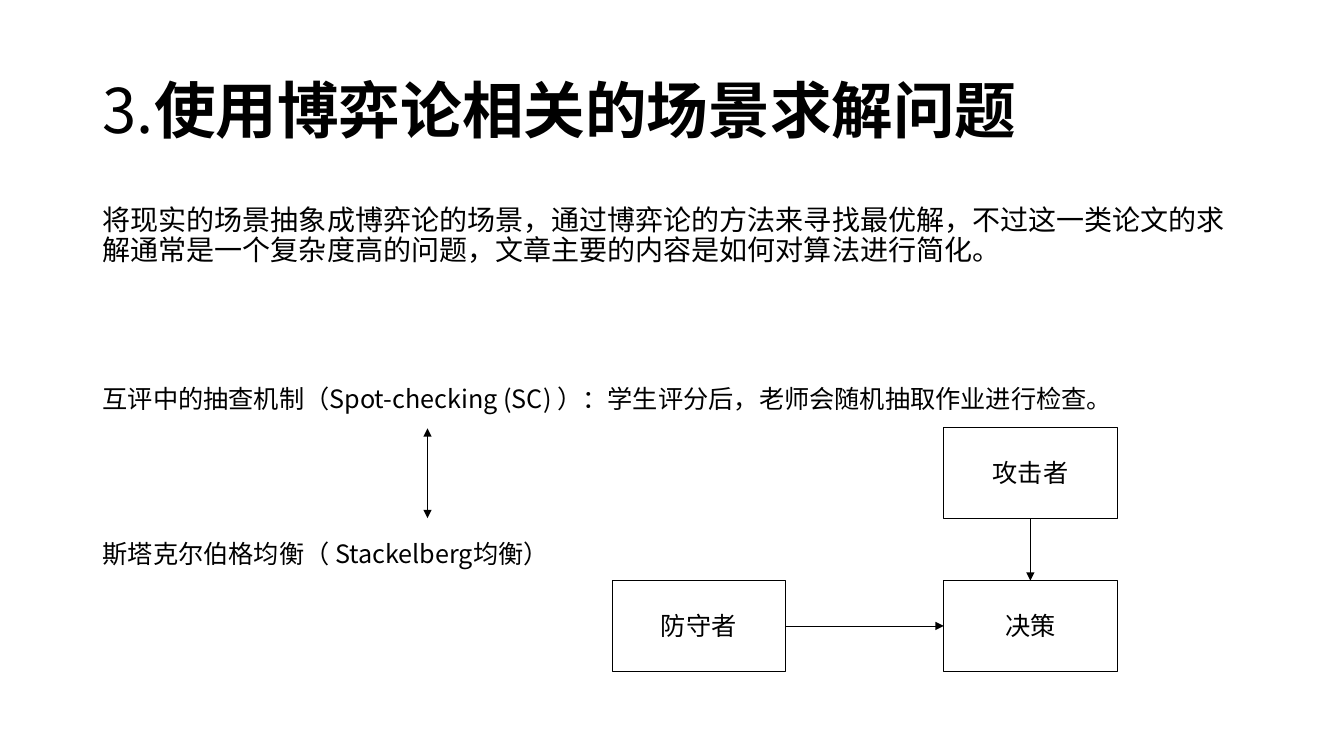
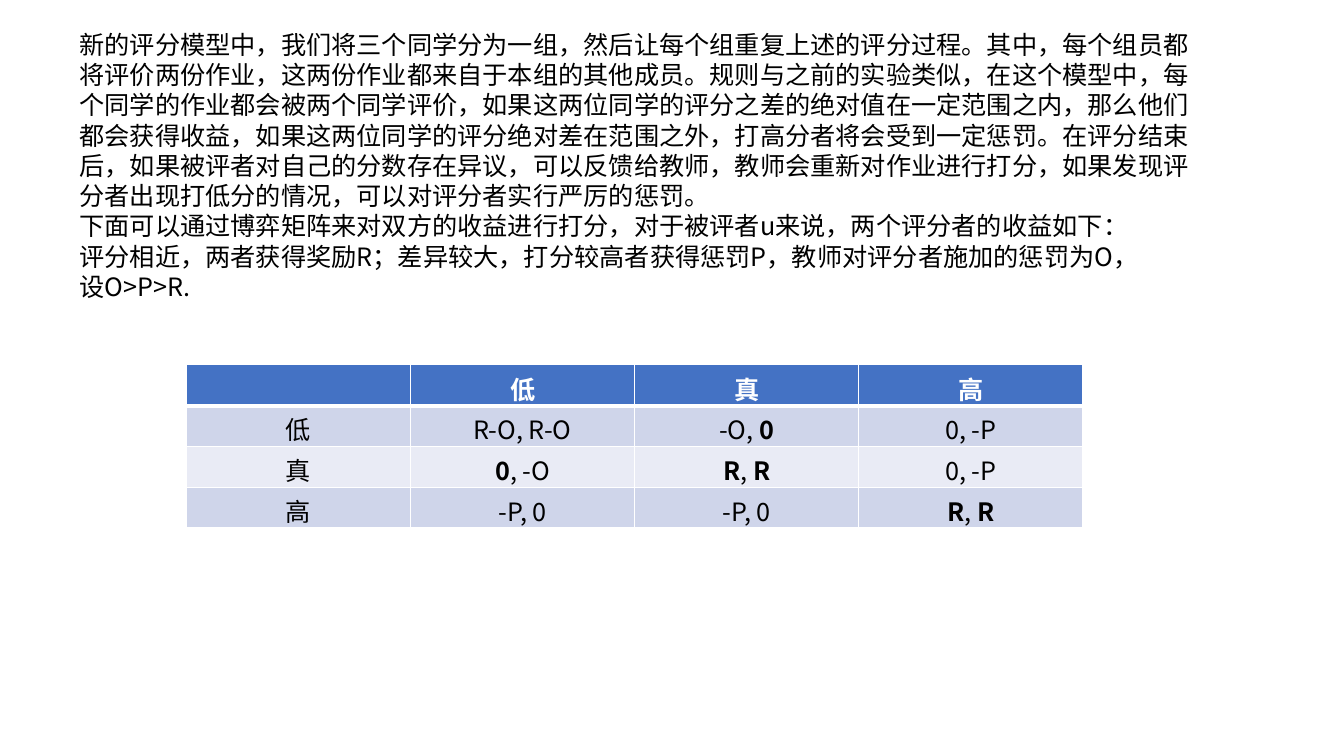
"""Build two slides on applying game theory to peer grading."""
import dataclasses
import typing

import lxml.etree
import pptx
import pptx.dml.color
import pptx.enum.shapes
import pptx.enum.text
import pptx.oxml.ns
import pptx.util

Inches = pptx.util.Inches
Pt = pptx.util.Pt
RGB = pptx.dml.color.RGBColor
qn = pptx.oxml.ns.qn
Align = pptx.enum.text.PP_ALIGN
Anchor = pptx.enum.text.MSO_ANCHOR


@dataclasses.dataclass(frozen=True)
class Theme:
    font: str = "Noto Sans CJK SC"
    ink: str = "000000"
    paper: str = "FFFFFF"
    header: str = "4472C4"
    bands: tuple[str, str] = ("CFD5EA", "E9EBF5")
    title_size: int = 44
    lead_size: int = 20
    text_size: int = 18
    box_line: float = 0.75
    arrow_line: float = 0.5
    cell_line: float = 1
    header_line: float = 3


@dataclasses.dataclass(frozen=True)
class TextBlock:
    left: float
    top: float
    width: float
    height: float
    paragraphs: tuple[str, ...]
    size: int
    line_spacing: float | None = None
    space_before: float | None = None
    anchor: Anchor = Anchor.TOP
    grows: bool = True


@dataclasses.dataclass(frozen=True)
class Role:
    name: str
    left: float
    top: float


THEME = Theme()
MARGIN = 0.92
CONTENT_WIDTH = 11.5
ROLE_WIDTH, ROLE_HEIGHT = 1.72, 0.9
BOTTOM, LEFT, TOP, RIGHT = 2, 1, 0, 3

GAME_THEORY_TEXTS = (
    TextBlock(MARGIN, 0.4, CONTENT_WIDTH, 1.45, ("3.*使用博弈论相关的场景求解问题*",),
              THEME.title_size, 0.9, anchor=Anchor.MIDDLE, grows=False),
    TextBlock(MARGIN, 2, CONTENT_WIDTH, 4.94,
              ("将现实的场景抽象成博弈论的场景，通过博弈论的方法来寻找最优解，不过这一类论文的求解通常是一个复杂度高的问题，文章主要的内容是如何对算法进行简化。",),
              THEME.lead_size, 0.9, 10, grows=False),
    TextBlock(MARGIN, 3.75, 10.99, 0.4,
              ("互评中的抽查机制（Spot-checking (SC) ）：学生评分后，老师会随机抽取作业进行检查。",),
              THEME.text_size),
    TextBlock(MARGIN, 5.29, CONTENT_WIDTH, 0.4,
              ("斯塔克尔伯格均衡（ Stackelberg均衡）",), THEME.text_size),
)
DEFENDER = Role("防守者", 6.07, 5.76)
ATTACKER = Role("攻击者", 9.36, 4.24)
DECISION = Role("决策", 9.36, 5.76)

GRADING_MODEL = TextBlock(0.69, 0.24, 11.2, 2.83, (
    "新的评分模型中，我们将三个同学分为一组，然后让每个组重复上述的评分过程。其中，每个组员都将评价两份作业，这两份作业都来自于本组的其他成员。规则与之前的实验类似，在这个模型中，每个同学的作业都会被两个同学评价，如果这两位同学的评分之差的绝对值在一定范围之内，那么他们都会获得收益，如果这两位同学的评分绝对差在范围之外，打高分者将会受到一定惩罚。在评分结束后，如果被评者对自己的分数存在异议，可以反馈给教师，教师会重新对作业进行打分，如果发现评分者出现打低分的情况，可以对评分者实行严厉的惩罚。",
    "下面可以通过博弈矩阵来对双方的收益进行打分，对于被评者u来说，两个评分者的收益如下：",
    "评分相近，两者获得奖励R；差异较大，打分较高者获得惩罚P，教师对评分者施加的惩罚为O，",
    "设O>P>R.",
), THEME.text_size)
PAYOFFS = (
    ("", "低", "真", "高"),
    ("低", "R-O, R-O", "-O, *0*", "0, -P"),
    ("真", "*0*, -O", "*R*, *R*", "0, -P"),
    ("高", "-P, 0", "-P, 0", "*R*, *R*"),
)


def write(paragraph: typing.Any, marked: str, size: int,
          color: str = THEME.ink, bold: bool = False) -> None:
    for index, part in enumerate(marked.split("*")):
        if part:
            run = paragraph.add_run()
            run.text = part
            if index % 2:
                run.font.bold = True
    font = paragraph.font
    font.size, font.bold, font.name = Pt(size), bold, THEME.font
    font.color.rgb = RGB.from_string(color)
    for defaults in paragraph._p.iter(qn("a:defRPr")):
        lxml.etree.SubElement(defaults, qn("a:ea"), typeface=THEME.font)


def draw_text(slide: typing.Any, block: TextBlock) -> None:
    frame = slide.shapes.add_textbox(Inches(block.left), Inches(block.top),
                                     Inches(block.width), Inches(block.height)).text_frame
    frame.word_wrap = True
    frame.vertical_anchor = block.anchor
    if block.grows:
        frame.auto_size = pptx.enum.text.MSO_AUTO_SIZE.SHAPE_TO_FIT_TEXT
    for index, words in enumerate(block.paragraphs):
        paragraph = frame.add_paragraph() if index else frame.paragraphs[0]
        if block.line_spacing:
            paragraph.line_spacing = block.line_spacing
        if block.space_before:
            paragraph.space_before = Pt(block.space_before)
        write(paragraph, words, block.size)


def draw_role(slide: typing.Any, role: Role) -> typing.Any:
    box = slide.shapes.add_shape(pptx.enum.shapes.MSO_SHAPE.RECTANGLE,
                                 Inches(role.left), Inches(role.top),
                                 Inches(ROLE_WIDTH), Inches(ROLE_HEIGHT))
    box.shadow.inherit = False
    box.fill.background()
    box.line.color.rgb = RGB.from_string(THEME.ink)
    box.line.width = Pt(THEME.box_line)
    box.text_frame.vertical_anchor = Anchor.MIDDLE
    paragraph = box.text_frame.paragraphs[0]
    paragraph.alignment = Align.CENTER
    write(paragraph, role.name, THEME.text_size)
    return box


def draw_arrow(slide: typing.Any, start: tuple[float, float] = (0, 0),
               end: tuple[float, float] = (0, 0), ends: tuple[str, ...] = ("tailEnd",)) -> typing.Any:
    arrow = slide.shapes.add_connector(pptx.enum.shapes.MSO_CONNECTOR.STRAIGHT,
                                       *map(Inches, start + end))
    arrow.line.color.rgb = RGB.from_string(THEME.ink)
    arrow.line.width = Pt(THEME.arrow_line)
    properties = arrow.element.spPr
    outline = properties.find(qn("a:ln"))
    for tip in ends:
        lxml.etree.SubElement(outline, qn(f"a:{tip}"), type="triangle")
    lxml.etree.SubElement(properties, qn("a:effectLst"))
    return arrow


def join(slide: typing.Any, source: typing.Any, source_side: int,
         target: typing.Any, target_side: int) -> None:
    arrow = draw_arrow(slide)
    arrow.begin_connect(source, source_side)
    arrow.end_connect(target, target_side)


def style_cell(cell: typing.Any, fill: str, widths: dict[str, float]) -> None:
    properties = cell._tc.get_or_add_tcPr()
    for side, width in widths.items():
        border = lxml.etree.SubElement(properties, qn(f"a:ln{side}"), w=str(Pt(width)))
        solid = lxml.etree.SubElement(border, qn("a:solidFill"))
        lxml.etree.SubElement(solid, qn("a:srgbClr"), val=THEME.paper)
    cell.fill.solid()
    cell.fill.fore_color.rgb = RGB.from_string(fill)


def draw_payoffs(slide: typing.Any) -> None:
    table = slide.shapes.add_table(len(PAYOFFS), len(PAYOFFS[0]), Inches(1.85), Inches(3.62),
                                   Inches(8.89), Inches(1.62)).table
    for row, payoffs in enumerate(PAYOFFS):
        is_header = row == 0
        fill = THEME.header if is_header else THEME.bands[(row - 1) % 2]
        widths = dict.fromkeys("LRTB", THEME.cell_line)
        if is_header:
            widths["B"] = THEME.header_line
        elif row == 1:
            widths["T"] = THEME.header_line
        for column, payoff in enumerate(payoffs):
            cell = table.cell(row, column)
            style_cell(cell, fill, widths)
            paragraph = cell.text_frame.paragraphs[0]
            paragraph.alignment = Align.CENTER
            write(paragraph, payoff, THEME.text_size,
                  THEME.paper if is_header else THEME.ink, is_header)


def build_game_theory(slide: typing.Any) -> None:
    for block in GAME_THEORY_TEXTS:
        draw_text(slide, block)
    draw_arrow(slide, (4.24, 4.25), (4.24, 5.14), ("headEnd", "tailEnd"))
    defender, attacker, decision = (draw_role(slide, role)
                                    for role in (DEFENDER, ATTACKER, DECISION))
    join(slide, defender, RIGHT, decision, LEFT)
    join(slide, attacker, BOTTOM, decision, TOP)


def build_grading_model(slide: typing.Any) -> None:
    draw_text(slide, GRADING_MODEL)
    draw_payoffs(slide)


def main() -> None:
    deck = pptx.Presentation()
    deck.slide_width, deck.slide_height = Inches(13.33), Inches(7.5)
    for build in (build_game_theory, build_grading_model):
        build(deck.slides.add_slide(deck.slide_layouts[6]))
    deck.save("out.pptx")


if __name__ == "__main__":
    main()
